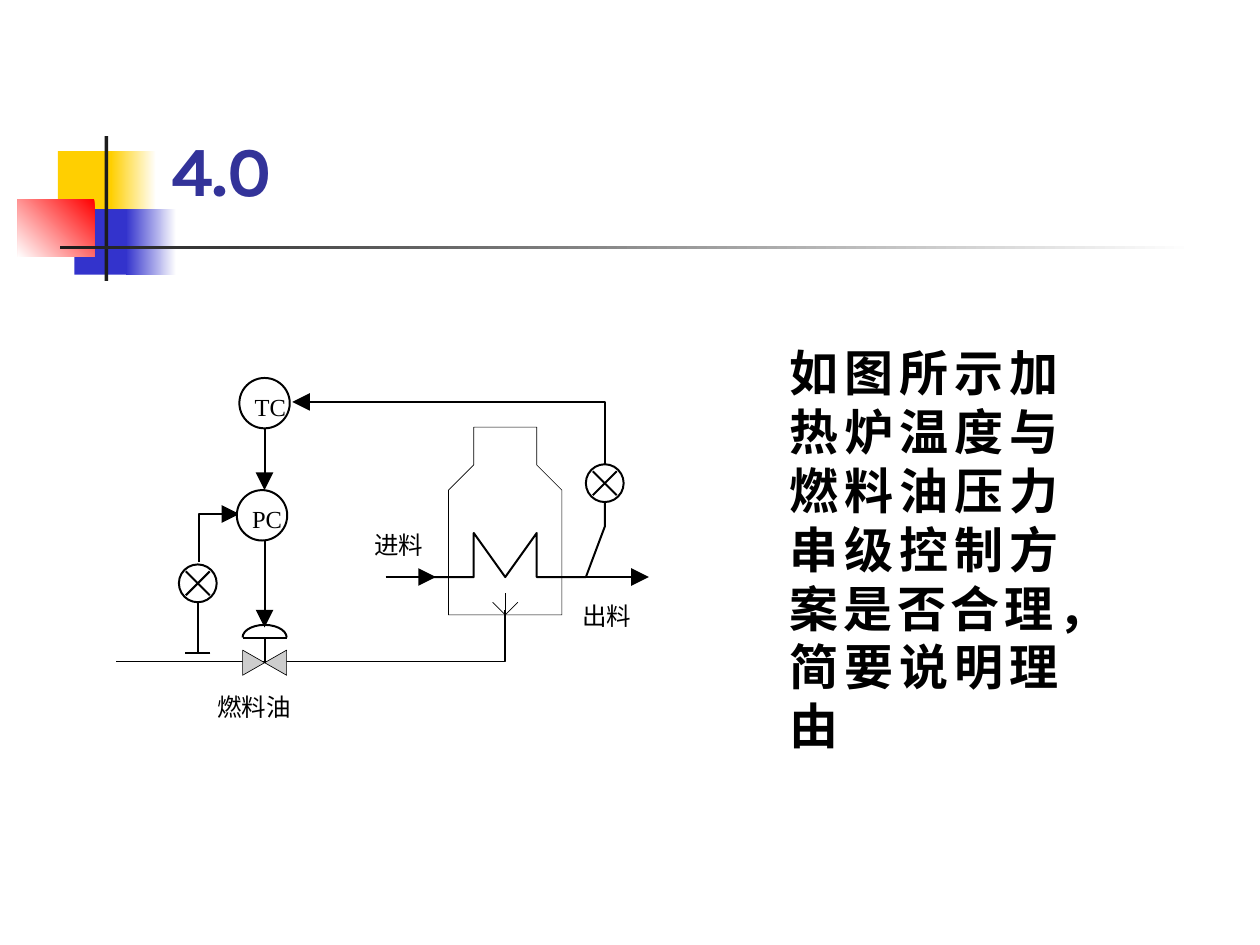
from math import cos, pi, sin

from lxml import etree
from pptx import Presentation
from pptx.dml.color import RGBColor
from pptx.enum.shapes import MSO_CONNECTOR, MSO_SHAPE
from pptx.enum.text import MSO_ANCHOR, PP_ALIGN
from pptx.oxml.ns import qn
from pptx.util import Inches, Pt

RECT, OVAL, STRAIGHT = MSO_SHAPE.RECTANGLE, MSO_SHAPE.OVAL, MSO_CONNECTOR.STRAIGHT
LEFT, CENTER, JUSTIFY = PP_ALIGN.LEFT, PP_ALIGN.CENTER, PP_ALIGN.JUSTIFY
MIDDLE, BOTTOM = MSO_ANCHOR.MIDDLE, MSO_ANCHOR.BOTTOM

THEME = dict(
    title="333399", ink="000000", paper="FFFFFF", valve="CDCDCD",
    yellow="FFCF01", blue="3333CC", red="FF0000", dark="1C1C1C",
    title_font="Karla", cjk="Noto Sans CJK SC", serif="Times New Roman",
    title_size=40, body_size=28, body_pitch=33.6, label_size=14,
    thin=0.37, thick=1.13,
)

# Content
TITLE = "4.0"
QUESTION = "如图所示加热炉温度与燃料油压力串级控制方案是否合理，简要说明理由"
LABELS = [  # text, font, left, top, width
    ("TC", "serif", 2.02, 3.11, 0.25),
    ("PC", "serif", 2.0, 4.0, 0.24),
    ("进料", "cjk", 2.97, 4.21, 0.39),
    ("出料", "cjk", 4.62, 4.77, 0.39),
    ("燃料油", "cjk", 1.72, 5.49, 0.59),
]
DECOR = [  # box, colours from first to last stop, gradient angle
    ((0.46, 1.2, 0.48, 0.52), ["yellow"], 0),
    ((0.88, 1.2, 0.36, 0.52), ["paper", "yellow"], 180),
    ((0.59, 1.66, 0.46, 0.52), ["blue"], 0),
    ((1.0, 1.66, 0.4, 0.52), ["paper", "blue"], 180),
    ((0.14, 1.58, 0.61, 0.46), ["red", "paper"], 225),
    ((0.83, 1.08, 0.03, 1.15), ["dark"], 0),
    ((0.48, 1.95, 9, 0.03), ["paper", "dark"], 180),
]

# Main axes of the process diagram
LOOP_X, FURNACE_X, SENSOR_X, GAUGE_X = 2.1, 4.01, 4.8, 1.57
FEED_Y, FUEL_Y, FLOOR_Y, DOME_Y = 4.58, 5.25, 4.88, 5.06
VALVE_HALF, ARROW = 0.175, 0.14

FURNACE = [(3.56, FLOOR_Y), (3.56, 3.89), (3.76, 3.69), (3.76, 3.39),
           (4.26, 3.39), (4.26, 3.69), (4.46, 3.89), (4.46, FLOOR_Y)]
COIL = [(3.36, FEED_Y), (3.76, FEED_Y), (3.76, 4.23), (FURNACE_X, FEED_Y),
        (4.26, 4.23), (4.26, FEED_Y), (4.65, FEED_Y)]
PIPES = [
    COIL,
    [(SENSOR_X, 3.98), (SENSOR_X, 4.18), (4.65, FEED_Y)],
    [(FURNACE_X, 4.84), (FURNACE_X, FUEL_Y), (0.92, FUEL_Y)],
    [(SENSOR_X, 3.69), (SENSOR_X, 3.19), (2.44, 3.19)],
    [(1.58, 4.46), (1.58, 4.08), (2.0, 4.08)],
]
LINES = [
    ((4.65, FEED_Y), (5.03, FEED_Y)),
    ((3.06, FEED_Y), (3.34, FEED_Y)),
    ((LOOP_X, 5.26), (LOOP_X, DOME_Y)),
    ((1.93, DOME_Y), (2.28, DOME_Y)),
    ((LOOP_X, 4.29), (LOOP_X, 4.86)),
    ((LOOP_X, 3.4), (LOOP_X, 3.77)),
    ((GAUGE_X, 4.78), (GAUGE_X, 5.18)),
    ((1.67, 5.18), (1.47, 5.18)),
]
FLAME = [(4.11, 4.78), (3.91, 4.78), (FURNACE_X, 4.71)]
ARROWS = [  # tip, direction
    ((5.15, FEED_Y), (1, 0)),
    ((3.46, FEED_Y), (1, 0)),
    ((2.32, 3.19), (-1, 0)),
    ((1.9, 4.08), (1, 0)),
    ((LOOP_X, 4.98), (0, 1)),
    ((LOOP_X, 3.89), (0, 1)),
]
CONTROLLERS = [(LOOP_X, 3.2), (2.08, 4.09)]
SENSORS = [(SENSOR_X, 3.835), (GAUGE_X, 4.63)]


def color(name):
    return RGBColor.from_string(THEME[name])


def paint(sp, fill=None, width=None):
    sp.shadow.inherit = False
    if fill:
        sp.fill.solid()
        sp.fill.fore_color.rgb = color(fill)
    else:
        sp.fill.background()
    if width:
        sp.line.color.rgb = color("ink")
        sp.line.width = Pt(THEME[width])
    else:
        sp.line.fill.background()


def outline(points, closed=False, fill=None, width="thick"):
    pts = [(Inches(x), Inches(y)) for x, y in points]
    builder = group.shapes.build_freeform(*pts[0], scale=1.0)
    builder.add_line_segments(pts[1:], close=closed)
    paint(builder.convert_to_shape(), fill, width)


def line(start, end, width="thick"):
    ends = [Inches(v) for v in (*start, *end)]
    cn = group.shapes.add_connector(STRAIGHT, *ends)
    cn.line.color.rgb = color("ink")
    cn.line.width = Pt(THEME[width])
    etree.SubElement(cn._element.spPr, qn("a:effectLst"))


def arrowhead(tip, direction):
    (x, y), (dx, dy) = tip, direction
    bx, by, half = x - ARROW * dx, y - ARROW * dy, ARROW / 2
    outline([(bx - half * dy, by - half * dx), tip, (bx + half * dy, by + half * dx)],
            True, "ink", None)


def circle(center, radius):
    x, y = center
    box = [Inches(v) for v in (x - radius, y - radius, 2 * radius, 2 * radius)]
    paint(group.shapes.add_shape(OVAL, *box), "paper", "thick")


def write(sp, text, font, size, ink="ink", bold=False, align=LEFT, anchor=MIDDLE):
    tf = sp.text_frame
    tf.text = text
    tf.vertical_anchor = anchor
    p = tf.paragraphs[0]
    p.alignment = align
    f = p.runs[0].font
    f.name, f.size, f.bold = THEME[font], Pt(THEME[size]), bold
    f.color.rgb = color(ink)
    ea = etree.SubElement(p.runs[0]._r.get_or_add_rPr(), qn("a:ea"))
    ea.set("typeface", THEME[font])
    return tf


prs = Presentation()
prs.slide_width, prs.slide_height = Inches(10), Inches(7.5)
s = prs.slides.add_slide(prs.slide_layouts[5])

# Corner decoration
for box, stops, angle in DECOR:
    sp = s.shapes.add_shape(RECT, *map(Inches, box))
    paint(sp, stops[0])
    if len(stops) > 1:
        sp.fill.gradient()
        sp.fill.gradient_angle = angle
        for stop, name, position in zip(sp.fill.gradient_stops, stops, (0, 1)):
            stop.color.rgb = color(name)
            stop.position = position

# Title and question
title = s.shapes.title
title.left, title.top, title.width, title.height = map(Inches, (1.26, 0.68, 8.52, 1.04))
write(title, TITLE, "title_font", "title_size", "title", True, anchor=BOTTOM)
question = s.shapes.add_textbox(*map(Inches, (6.17, 2.67, 2.33, 3.37)))
tf = write(question, QUESTION, "cjk", "body_size", bold=True, align=JUSTIFY)
tf.word_wrap = True
tf.paragraphs[0].line_spacing = Pt(THEME["body_pitch"])

# Furnace, pipes and signal lines
group = s.shapes.add_group_shape()
outline(FURNACE, True, "paper", "thin")
for points in PIPES:
    outline(points)
for tip in FLAME:
    line((FURNACE_X, FLOOR_Y), tip, "thin")

# Control valve with its dome
x0, x1 = LOOP_X - VALVE_HALF, LOOP_X + VALVE_HALF
outline([(x1, 5.36), (x1, 5.16), (x0, 5.36), (x0, 5.16)], True, "valve", "thin")
outline([(LOOP_X - VALVE_HALF * cos(pi * i / 14), DOME_Y - 0.1 * sin(pi * i / 14))
         for i in range(15)])
for start, end in LINES:
    line(start, end)
for tip, direction in ARROWS:
    arrowhead(tip, direction)

# Controllers and sensors
for center in CONTROLLERS:
    circle(center, 0.2)
for x, y in SENSORS:
    circle((x, y), 0.15)
    for d in (0.095, -0.095):
        line((x - d, y - 0.095), (x + d, y + 0.095))

# Labels
for text, font, left, top, width in LABELS:
    tb = group.shapes.add_textbox(*map(Inches, (left, top, width, 0.23)))
    tf = write(tb, text, font, "label_size", align=CENTER)
    tf.word_wrap = False
    tf.margin_left = tf.margin_right = tf.margin_top = tf.margin_bottom = 0

prs.save("out.pptx")
